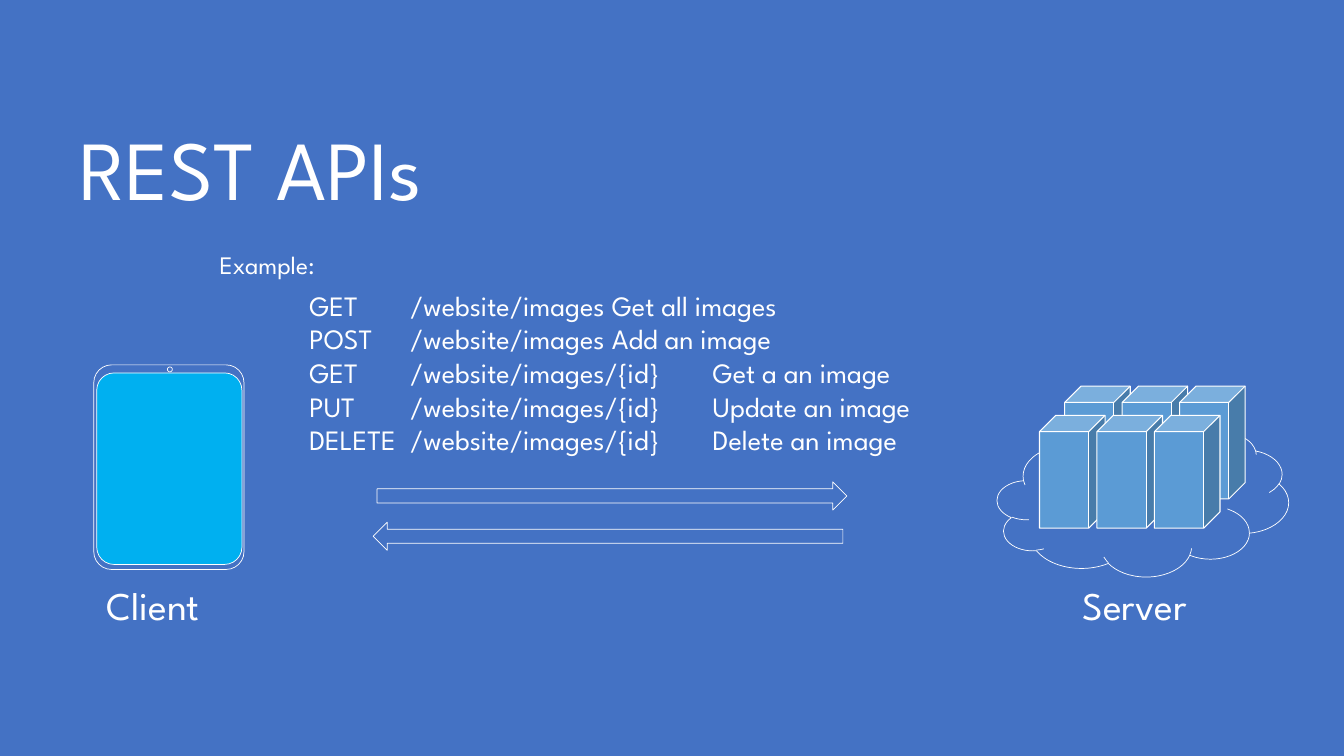
from pptx import Presentation
from pptx.dml.color import RGBColor
from pptx.enum import shapes, text
from pptx.util import Inches, Pt

FONT = "League Spartan"
WHITE = "FFFFFF"
SHAPE = shapes.MSO_SHAPE
REQUESTS = [
    ("GET", "/website/images", "Get all images"),
    ("POST", "/website/images", "Add an image"),
    ("GET", "/website/images/{id}", "Get a an image"),
    ("PUT", "/website/images/{id}", "Update an image"),
    ("DELETE", "/website/images/{id}", "Delete an image"),
]


def rgb(value):
    return RGBColor.from_string(value)


def box(*lengths):
    return [Inches(n) for n in lengths]


def format_text(tf, size):
    for p in tf.paragraphs:
        p.alignment = text.PP_ALIGN.LEFT
        p._p.get_or_add_pPr().set("defTabSz", str(Inches(1)))
        for r in p.runs:
            r.font.name = FONT
            r.font.size = Pt(size)
            r.font.color.rgb = rgb(WHITE)


def add_title(slide, title):
    sp = slide.shapes.title
    sp.left, sp.top, sp.width, sp.height = box(0.69, 0.2, 11.5, 2.02)
    tf = sp.text_frame
    tf.text = title
    tf.auto_size = text.MSO_AUTO_SIZE.NONE
    tf.vertical_anchor = text.MSO_ANCHOR.BOTTOM
    tf.paragraphs[0].line_spacing = 0.9
    format_text(tf, 60)


def add_text(slide, content, place, size):
    tf = slide.shapes.add_textbox(*box(*place)).text_frame
    tf.text = content
    tf.word_wrap = False
    tf.auto_size = text.MSO_AUTO_SIZE.SHAPE_TO_FIT_TEXT
    format_text(tf, size)


def add_outlined(parent, kind, place, fill=None, weight=0.5):
    """Add a white-outlined shape, hollow unless a fill is given."""
    sp = parent.shapes.add_shape(kind, *box(*place))
    sp.shadow.inherit = False
    sp.line.color.rgb = rgb(WHITE)
    sp.line.width = Pt(weight)
    if fill:
        sp.fill.solid()
        sp.fill.fore_color.rgb = rgb(fill)
    else:
        sp.fill.background()
    return sp


def add_tablet(slide):
    group = slide.shapes.add_group_shape()
    for place, fill in (((0.93, 3.62, 1.49, 2.03), None),
                        ((0.96, 3.7, 1.44, 1.9), "00B0F0")):
        sp = add_outlined(group, SHAPE.ROUNDED_RECTANGLE, place, fill)
        sp.adjustments[0] = 0.119
    add_outlined(group, SHAPE.OVAL, (1.66, 3.64, 0.05, 0.05))


def add_server_cloud(slide):
    group = slide.shapes.add_group_shape()
    add_outlined(group, SHAPE.CLOUD, (9.89, 4.29, 2.89, 1.43))
    for left, top in ((10.56, 3.83), (10.31, 4.12)):
        for i in range(3):
            place = (left + 0.57 * i, top, 0.65, 1.12)
            add_outlined(group, SHAPE.CUBE, place, "5B9BD5", 0.75)


def main():
    prs = Presentation()
    prs.slide_width, prs.slide_height = box(13.33, 7.5)
    slide = prs.slides.add_slide(prs.slide_layouts[5])
    slide.background.fill.solid()
    slide.background.fill.fore_color.rgb = rgb("4472C4")

    add_title(slide, "REST APIs")
    requests = "\n".join("\t".join(request) for request in REQUESTS)
    add_text(slide, requests, (2.97, 2.81, 6.68, 1.78), 20)
    add_tablet(slide)
    add_server_cloud(slide)
    add_text(slide, "Client", (0.96, 5.72, 1.31, 0.57), 28)
    add_text(slide, "Server", (10.64, 5.72, 1.36, 0.57), 28)
    add_outlined(slide, SHAPE.RIGHT_ARROW, (3.74, 4.78, 4.66, 0.28))
    response = add_outlined(slide, SHAPE.RIGHT_ARROW, (3.7, 5.18, 4.66, 0.28))
    response.rotation = 180
    add_text(slide, "Example:", (2.08, 2.42, 1.32, 0.4), 18)
    prs.save("out.pptx")


if __name__ == "__main__":
    main()
